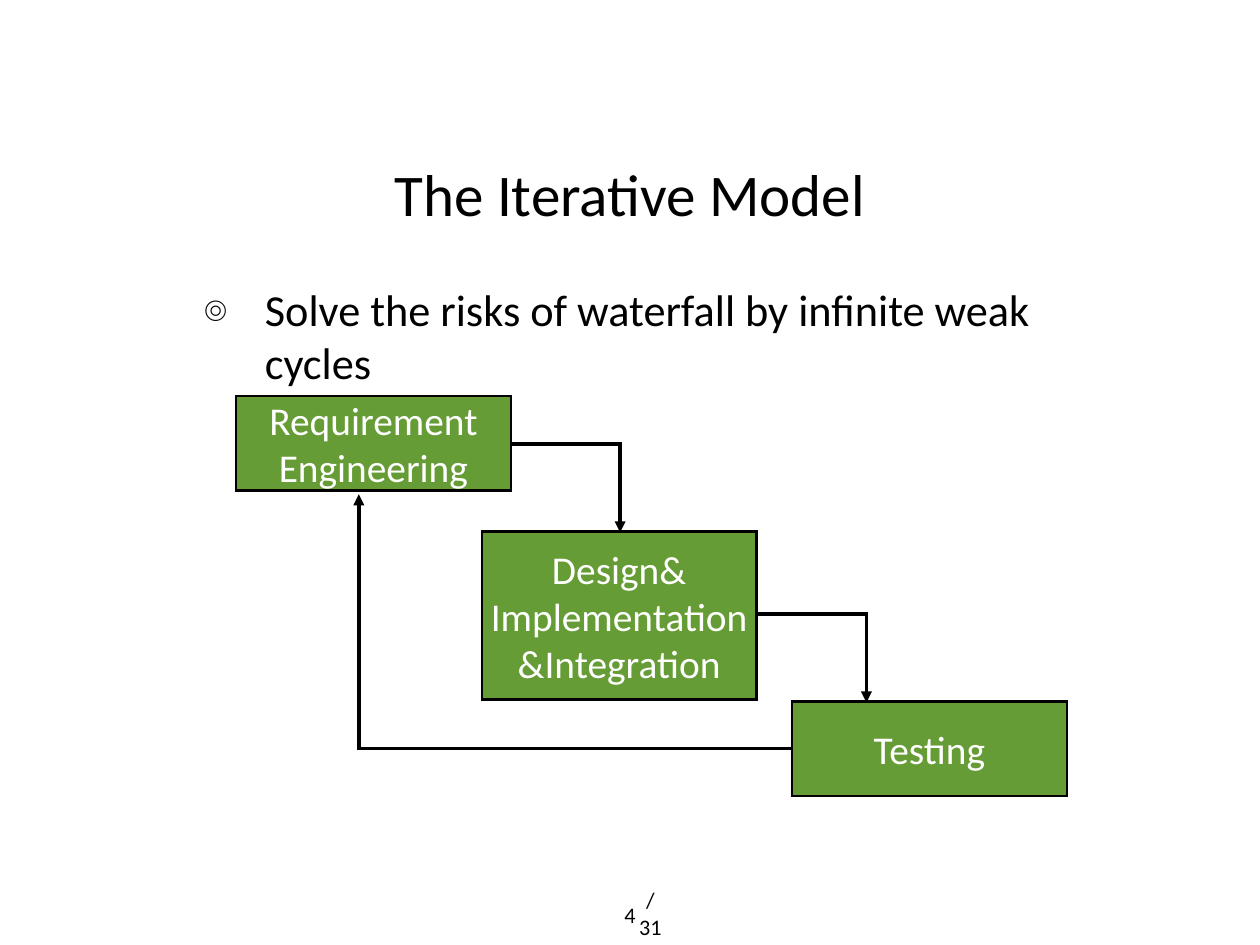
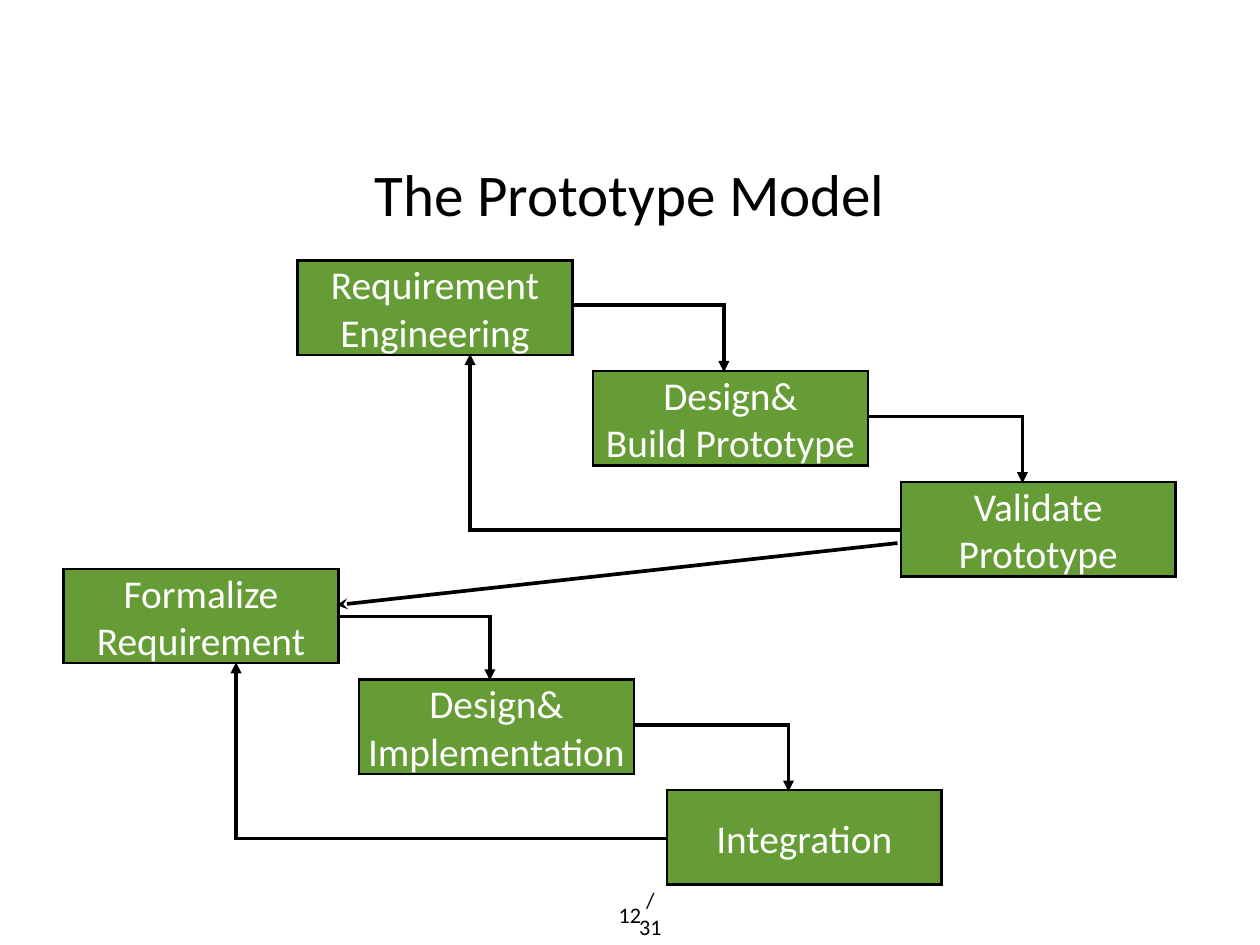
"""Build two slides of process-model flow charts."""
from lxml import etree
from pptx import Presentation, util as u
from pptx.dml.color import RGBColor
from pptx.enum import shapes, text
from pptx.oxml import ns

COLORS = {"ink": "000000", "box": "669C35", "label": "FFFFFF"}
FONT = "Calibri"
TOTAL = "/31"

deck = Presentation()
deck.slide_width, deck.slide_height = u.Inches(14.22), u.Inches(10.67)
COL, ROW = deck.slide_width / 100, deck.slide_height / 100
BOX_W, BOX_H = 21.8, 10


def write(box, lines, size, color="ink", align=text.PP_ALIGN.CENTER,
          anchor=text.MSO_ANCHOR.MIDDLE, wrap=True):
    """Fill a shape with paragraphs in the deck's font."""
    frame = box.text_frame
    frame.word_wrap, frame.vertical_anchor = wrap, anchor
    frame.margin_left = frame.margin_right = u.Inches(0.06)
    frame.margin_top = frame.margin_bottom = u.Inches(0.06)
    for index, line in enumerate(lines):
        para = frame.add_paragraph() if index else frame.paragraphs[0]
        para.alignment = align
        span = para.add_run()
        span.text = line
        span.font.name, span.font.size = FONT, u.Pt(size)
        span.font.color.rgb = RGBColor.from_string(COLORS[color])


def stroke(shape, width, end=None, head=None):
    """Draw a plain ink line with sharp corners and an optional arrowhead."""
    shape.line.color.rgb = RGBColor.from_string(COLORS["ink"])
    shape.line.width = u.Pt(width)
    outline = shape.line._get_or_add_ln()
    etree.SubElement(outline, ns.qn("a:miter"), lim="800000")
    if end:
        etree.SubElement(outline, ns.qn("a:" + end), type=head)


iterative = {
    "title": "The Iterative Model",
    "number": "4",
    "bullet": "Solve the risks of waterfall by infinite weak cycles",
    "boxes": [
        (18.75, 41.9, BOX_H, ["Requirement Engineering"]),
        (38.25, 56.25, 17.8, ["Design&", "Implementation", "&Integration"]),
        (62.87, 74.25, BOX_H, ["Testing"]),
    ],
    "elbows": [
        (40.6, 46.97, 49.22, 56.34),
        (60.1, 64.97, 68.77, 74.34),
        (62.9, 79.2, 28.48, 52.3),
    ],
    "links": [],
}
prototype = {
    "title": "The Prototype Model",
    "number": "12",
    "bullet": None,
    "boxes": [],
    "elbows": [],
    "links": [(26.72, 64.03, 71.23, 57.47)],
}

STEPS_X, STEP_Y = (0, 23.45, 47.88), 11.72
stairs = [
    (23.63, 27.56, 4.69, [["Requirement Engineering"],
                          ["Design&", "Build Prototype"],
                          ["Validate Prototype"]]),
    (5.06, 60.19, 5.06, [["Formalize", "Requirement"],
                         ["Design&", "Implementation"],
                         ["Integration"]]),
]
for left, top, exit_y, labels in stairs:
    for step, (shift, lines) in enumerate(zip(STEPS_X, labels)):
        prototype["boxes"].append((left + shift, top + step * STEP_Y, BOX_H, lines))
    for x0, y0, x1, y1 in [(21.9, exit_y, 33.82, 11.82),
                           (45.35, 16.5, 57.52, 23.58),
                           (47.95, 28.55, 13.68, 9.89)]:
        prototype["elbows"].append((left + x0, top + y0, left + x1, top + y1))

for model in (iterative, prototype):
    page = deck.slides.add_slide(deck.slide_layouts[6])

    total = page.shapes.add_textbox(
        int(50.15 * COL), int(94.75 * ROW), int(2.95 * COL), int(3.75 * ROW))
    write(total, [TOTAL], 18)
    title = page.shapes.add_textbox(
        int(9.77 * COL), int(9.93 * ROW), int(80.45 * COL), int(21 * ROW))
    write(title, [model["title"]], 48)

    if model["bullet"]:
        body = page.shapes.add_textbox(
            int(9.77 * COL), int(28.4 * ROW), int(80.45 * COL), int(14.15 * ROW))
        write(body, [model["bullet"]], 36, align=text.PP_ALIGN.LEFT)
        para = body.text_frame.paragraphs[0]
        para.space_before = u.Pt(9)
        props = para._p.get_or_add_pPr()
        props.set("marL", str(u.Inches(1.54)))
        props.set("indent", str(u.Inches(-0.7)))
        etree.SubElement(props, ns.qn("a:buSzPct"), val="88000")
        etree.SubElement(props, ns.qn("a:buFont"), typeface=FONT)
        etree.SubElement(props, ns.qn("a:buChar"), char="๏")

    for left, top, height, lines in model["boxes"]:
        box = page.shapes.add_shape(
            shapes.MSO_SHAPE.RECTANGLE, int(left * COL), int(top * ROW),
            int(BOX_W * COL), int(height * ROW))
        box.shadow.inherit = False
        box.fill.solid()
        box.fill.fore_color.rgb = RGBColor.from_string(COLORS["box"])
        stroke(box, 2)
        write(box, lines, 32, "label")

    for x0, y0, x1, y1 in model["elbows"]:
        builder = page.shapes.build_freeform(int(x0 * COL), int(y0 * ROW))
        builder.add_line_segments(
            [(int(x1 * COL), int(y0 * ROW)), (int(x1 * COL), int(y1 * ROW))],
            close=False)
        elbow = builder.convert_to_shape()
        elbow.shadow.inherit = False
        elbow.fill.background()
        stroke(elbow, 3, "tailEnd", "triangle")

    for x0, y0, x1, y1 in model["links"]:
        link = page.shapes.add_connector(
            shapes.MSO_CONNECTOR.STRAIGHT, int(x0 * COL), int(y0 * ROW),
            int(x1 * COL), int(y1 * ROW))
        stroke(link, 3, "headEnd", "stealth")
        etree.SubElement(link._element.spPr, ns.qn("a:effectLst"))

    number = page.shapes.add_textbox(
        int(48.66 * COL), int(94.85 * ROW), int(2.67 * COL), int(3.75 * ROW))
    write(number, [model["number"]], 18, anchor=text.MSO_ANCHOR.TOP, wrap=False)

deck.save("out.pptx")
